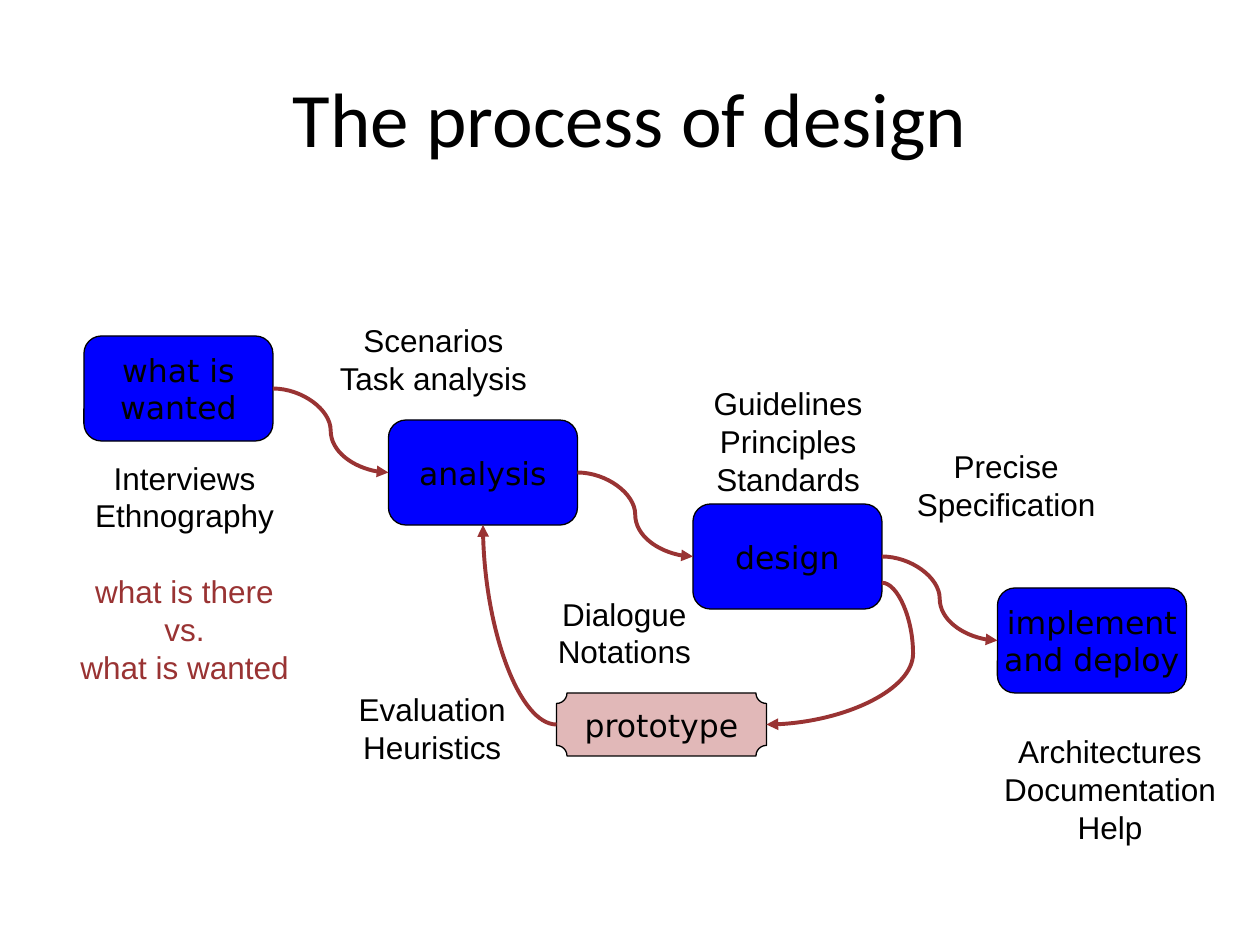
import pptx
import pptx.util
import pptx.dml.color
import pptx.enum.shapes
import pptx.enum.text
import pptx.oxml
import pptx.oxml.ns

Pt, Inches = pptx.util.Pt, pptx.util.Inches
RGB = pptx.dml.color.RGBColor
KIND = pptx.enum.shapes.MSO_SHAPE
CURVE = pptx.enum.shapes.MSO_CONNECTOR.CURVE
ANCHOR = pptx.enum.text.MSO_ANCHOR
qn = pptx.oxml.ns.qn

BLACK, BLUE = RGB(0, 0, 0), RGB(0, 0, 255)
PINK, RED = RGB(0xE1, 0xB8, 0xB8), RGB(0x99, 0x33, 0x33)

TITLE = "The process of design"
STEPS = ["what is\vwanted", "analysis", "design", "implement\nand deploy"]
# left, top, width, height in inches; text
NOTES = [
    (0.53, 3.59, 1.87, 1.92, "Interviews\nEthnography\nwhat is there\nvs.\nwhat is wanted"),
    (5.56, 3, 1.39, 1.01, "Guidelines\nPrinciples\nStandards"),
    (4.32, 4.67, 1.27, 0.71, "Dialogue\vNotations"),
    (7.17, 3.5, 1.63, 0.71, "Precise\vSpecification"),
    (7.86, 5.76, 1.9, 1.01, "Architectures\nDocumentation\nHelp"),
    (2.74, 5.43, 1.38, 0.71, "Evaluation\nHeuristics"),
    (2.59, 2.5, 1.7, 0.71, "Scenarios\vTask analysis"),
]

# Diagram grid: twelve units to the inch
UNIT = Inches(1) / 12
X0, Y0, DX, DY, WIDE, HIGH = 8, 32, 29, 8, 18, 10
PLAQUE = (53, 66, 20, 6)
LEAD = Pt(21.6)

BODY = {"name": "Arial", "size": Pt(18)}
LABEL = {"name": "DejaVu Sans", "size": Pt(18)}
HEAD = {"name": "Calibri", "size": Pt(44)}


def grid(*cells):
    return [round(cell * UNIT) for cell in cells]


def write(shape, text, style, anchor, lead=LEAD, wrap=False):
    frame = shape.text_frame
    frame.text = text
    frame.word_wrap = wrap
    frame.vertical_anchor = anchor
    for para in frame.paragraphs:
        para.alignment = pptx.enum.text.PP_ALIGN.CENTER
        para.line_spacing = lead
        for run in para.runs:
            for key, value in style.items():
                setattr(run.font, key, value)
            run.font.color.rgb = BLACK
    return frame


def block(slide, kind, place, fill, text):
    shape = slide.shapes.add_shape(kind, *grid(*place))
    shape.adjustments[0] = 0.167
    shape.shadow.inherit = False
    shape.fill.solid()
    shape.fill.fore_color.rgb = fill
    shape.line.color.rgb = BLACK
    shape.line.width = Pt(0.75)
    write(shape, text, LABEL, ANCHOR.MIDDLE)


def arrow(slide, start, end):
    link = slide.shapes.add_connector(CURVE, *grid(*start, *end))
    link.line.color.rgb = RED
    link.line.width = Pt(2.25)
    props = link._element.spPr
    line = props.find(qn("a:ln"))
    line.append(pptx.oxml.parse_xml(
        f'<a:tailEnd {pptx.oxml.ns.nsdecls("a")} type="triangle"/>'))
    props.append(pptx.oxml.parse_xml(
        f'<a:effectLst {pptx.oxml.ns.nsdecls("a")}/>'))
    return props


def bulge(props, share):
    """Move the middle of a curve to a share of its width."""
    names = props.find(qn("a:prstGeom")).get_or_add_avLst()
    names.append(pptx.oxml.parse_xml(
        f'<a:gd {pptx.oxml.ns.nsdecls("a")} name="adj1" '
        f'fmla="val {round(share * 100000)}"/>'))


def bend(props):
    """Make a curve with one bend, turned half round."""
    props.find(qn("a:prstGeom")).set("prst", "curvedConnector2")
    frame = props.find(qn("a:xfrm"))
    for flip in ("flipH", "flipV"):
        frame.attrib.pop(flip, None)
    frame.set("rot", "10800000")


def main():
    deck = pptx.Presentation()
    deck.slide_width, deck.slide_height = Inches(10), Inches(7.5)
    slide = deck.slides.add_slide(deck.slide_layouts[6])

    head = slide.shapes.add_textbox(
        Inches(0.5), Inches(0.3), Inches(9), Inches(1.25))
    write(head, TITLE, HEAD, ANCHOR.MIDDLE, lead=1.0, wrap=True)

    spots = [(X0 + DX * i, Y0 + DY * i) for i in range(len(STEPS))]
    for (x, y), text in zip(spots, STEPS):
        block(slide, KIND.ROUNDED_RECTANGLE, (x, y, WIDE, HIGH), BLUE, text)
    block(slide, KIND.PLAQUE, PLAQUE, PINK, "prototype")

    for (x, y), (nx, ny) in zip(spots, spots[1:]):
        arrow(slide, (x + WIDE, y + HIGH / 2), (nx, ny + HIGH / 2))

    left, top, wide, high = PLAQUE
    mid = top + high / 2
    ax, ay = spots[1]
    dx, dy = spots[2]
    bulge(arrow(slide, (dx + WIDE, dy + HIGH * 0.75), (left + wide, mid)), -0.27)
    bend(arrow(slide, (left, mid), (ax + WIDE / 2, ay + HIGH)))

    for *place, text in NOTES:
        box = slide.shapes.add_textbox(*map(Inches, place))
        frame = write(box, text, BODY, ANCHOR.TOP)
        if "vs." in text:
            aims = frame.paragraphs[2:]
            aims[0].space_before = LEAD
            for para in aims:
                para.runs[0].font.color.rgb = RED

    deck.save("out.pptx")


if __name__ == "__main__":
    main()
